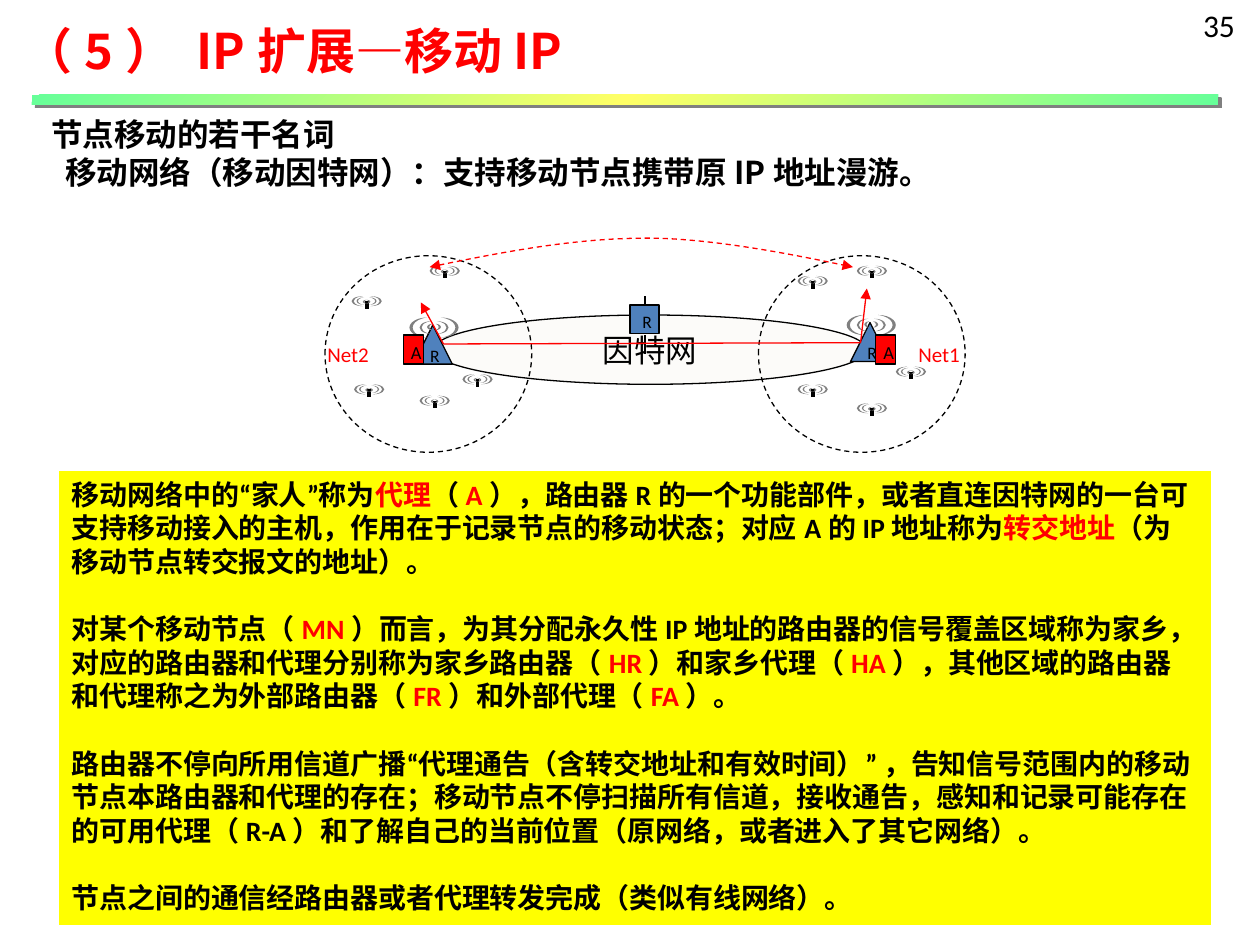
from lxml import etree
from pptx import Presentation
from pptx.dml.color import RGBColor
from pptx.enum.dml import MSO_LINE
from pptx.enum.shapes import MSO_CONNECTOR, MSO_SHAPE
from pptx.enum.text import MSO_ANCHOR, PP_ALIGN
from pptx.oxml import parse_xml
from pptx.oxml.ns import nsdecls, qn
from pptx.util import Emu, Pt

PX = 9144
RED = RGBColor(0xFF, 0x00, 0x00)
BLACK = RGBColor(0x00, 0x00, 0x00)
BLUE = RGBColor(0x4F, 0x81, 0xBD)
GRAY = RGBColor(0x80, 0x80, 0x80)
CLOUD = RGBColor(0xFC, 0xFB, 0xF9)
YELLOW = RGBColor(0xFF, 0xFF, 0x00)
LATIN, HAN = "Calibri", "Noto Sans CJK SC"
RECT, OVAL = MSO_SHAPE.RECTANGLE, MSO_SHAPE.OVAL
MOON, PEAK = MSO_SHAPE.MOON, MSO_SHAPE.ISOSCELES_TRIANGLE
STRAIGHT, DASH = MSO_CONNECTOR.STRAIGHT, MSO_LINE.DASH
TOP, MIDDLE = MSO_ANCHOR.TOP, MSO_ANCHOR.MIDDLE
LEFT, CENTER = PP_ALIGN.LEFT, PP_ALIGN.CENTER

SMALL = [(0, 0, 9, 8, 0.18), (4, 1, 6, 6, 0.18), (9, 3, 3, 3, 0.42)]
LARGE = [(0, 0, 14, 16, 0.18), (8, 3, 9, 10, 0.18), (14, 5, 4, 5, 0.42)]
NETS = [
    dict(x=258, name="Net2", tag=-8, peak=(70, 55), agent=62,
         spots=[(21, 32), (83, 8), (23, 102), (109, 94), (75, 111)]),
    dict(x=602, name="Net1", tag=117, peak=(73, 53), agent=93,
         spots=[(78, 8), (31, 16), (31, 102), (78, 117), (109, 88)]),
]
TERMS = [
    "移动网络中的“家人”称为|代理|（|A|），路由器R的一个功能部件，或者直连因特网的一台可支持移动接入的主机，"
    "作用在于记录节点的移动状态；对应A的IP地址称为|转交地址|（为移动节点转交报文的地址）。",
    "对某个移动节点（|MN|）而言，为其分配永久性IP地址的路由器的信号覆盖区域称为家乡，"
    "对应的路由器和代理分别称为家乡路由器（|HR|）和家乡代理（|HA|），"
    "其他区域的路由器和代理称之为外部路由器（|FR|）和外部代理（|FA|）。",
    "路由器不停向所用信道广播“代理通告（含转交地址和有效时间）” ，告知信号范围内的移动节点本路由器和代理的存在；"
    "移动节点不停扫描所有信道，接收通告，感知和记录可能存在的可用代理（R-A）和了解自己的当前位置（原网络，或者进入了其它网络）。",
    "节点之间的通信经路由器或者代理转发完成（类似有线网络）。",
]


def style(item, **values):
    """Set each named value on the item."""
    for key, value in values.items():
        setattr(item, key, value)


def scale(*nums):
    """Turn px into EMU."""
    return [Emu(round(n * PX)) for n in nums]


def write(para, text, size, color=BLACK, face=LATIN, bold=False):
    """Add text to a paragraph, with the parts between bars in red."""
    for num, part in enumerate(text.split("|")):
        run = para.add_run()
        run.text = part
        style(run.font, size=Pt(size), name=face, bold=bold)
        run.font.color.rgb = RED if num % 2 else color
        etree.SubElement(run.font._element, qn("a:ea"), typeface=face)


def label(shapes, box, text, size, color=BLACK, wrap=True, anchor=TOP, **look):
    """Place a text box with one line."""
    frame = shapes.add_textbox(*scale(*box)).text_frame
    style(frame, word_wrap=wrap, vertical_anchor=anchor)
    write(frame.paragraphs[0], text, size, color, **look)
    return frame


def shape(shapes, kind, box, fill=None, edge=None, dash=None):
    """Place a preset shape with its fill and edge."""
    item = shapes.add_shape(kind, *scale(*box))
    item.shadow.inherit = False
    if fill is None:
        item.fill.background()
    else:
        item.fill.solid()
        item.fill.fore_color.rgb = fill
    if edge is None:
        item.line.fill.background()
    else:
        item.line.color.rgb = edge
        style(item.line, width=Pt(0.75), dash_style=dash)
    item.text_frame.vertical_anchor = TOP
    return item


def mark(item, text, size, align=CENTER):
    """Write a short name inside a shape."""
    para = item.text_frame.paragraphs[0]
    para.alignment = align
    write(para, text, size)


def tips(line, ends):
    """Add arrowheads to the named ends of a line."""
    for end in ends:
        etree.SubElement(line._get_or_add_ln(), qn(f"a:{end}"), type="triangle")


def link(shapes, start, stop, color=BLACK, width=0.75, ends=()):
    """Draw a straight line between two points."""
    item = shapes.add_connector(STRAIGHT, *scale(*start, *stop))
    item.line.color.rgb = color
    item.line.width = Pt(width)
    tips(item.line, ends)
    etree.SubElement(item.element.spPr, qn("a:effectLst"))


def waves(shapes, x, y, span, rings):
    """Draw mirrored pairs of radio waves."""
    for dx, dy, wide, high, bend in rings:
        for flip in (False, True):
            left = x + (span - dx - wide if flip else dx)
            moon = shape(shapes, MOON, (left, y + dy, wide, high), GRAY)
            moon.adjustments[0] = bend
            if flip:
                moon.element.spPr.xfrm.set("flipH", "1")


def mast(shapes, x, y):
    """Draw a small antenna with its waves."""
    group = shapes.add_group_shape().shapes
    link(group, (x + 12, y + 4), (x + 12, y + 10), width=2.25)
    waves(group, x, y, 24, SMALL)


def cell(shapes, x, y, name, tag, peak, agent, spots):
    """Draw one radio network with its router and agent."""
    shape(shapes, OVAL, (x, y, 164, 156), edge=BLACK, dash=DASH)
    for dx, dy in spots:
        mast(shapes, x + dx, y + dy)
    left, top = x + peak[0], y + peak[1]
    router = shape(shapes, PEAK, (left, top, 31, 31), BLUE, BLACK)
    router.text_frame.margin_top = 0
    mark(router, "R", 10)
    waves(shapes, left - 3, top - 6, 39, LARGE)
    label(shapes, (x + tag, y + 63, 53, 30), name, 12, RED, wrap=False)
    mark(shape(shapes, RECT, (x + agent, y + 63, 16, 23), RED, BLACK), "A", 10.5)


def arc(shapes, points):
    """Draw a dashed curve through cubic control points."""
    pen = shapes.build_freeform(*points[0], scale=PX)
    pen.add_line_segments(points[1:], close=False)
    item = pen.convert_to_shape()
    item.shadow.inherit = False
    item.fill.background()
    item.line.color.rgb = RED
    style(item.line, width=Pt(0.75), dash_style=DASH)
    tips(item.line, ("headEnd", "tailEnd"))
    track = item.element.find(".//" + qn("a:path"))
    steps = track.findall(qn("a:lnTo"))
    for first in range(0, len(steps), 3):
        curve = etree.SubElement(track, qn("a:cubicBezTo"))
        for step in steps[first:first + 3]:
            curve.append(step[0])
            track.remove(step)


def header(shapes, x, y):
    """Place the title, page number and gradient rule."""
    rule = shape(shapes, RECT, (x + 25, y + 75, 942, 8), YELLOW)
    props = rule.element.spPr
    stops = "".join(f'<a:gs pos="{pos}"><a:srgbClr val="{tone}"/></a:gs>' for pos, tone in
                    ((0, "66FF99"), (50000, "FFFF66"), (100000, "66FF99")))
    props.replace(props.find(qn("a:solidFill")), parse_xml(
        f'<a:gradFill {nsdecls("a")}><a:gsLst>{stops}</a:gsLst>'
        '<a:lin ang="2700000" scaled="1"/></a:gradFill>'))
    shade = etree.SubElement(props.find(qn("a:effectLst")), qn("a:outerShdw"),
                             dist="35560", dir="2700000", algn="ctr", rotWithShape="0")
    etree.SubElement(shade, qn("a:srgbClr"), val="808080")
    label(shapes, (x + 945, y, 54, 50), "35", 18, wrap=False)
    label(shapes, (x + 9, y + 11, 877, 57), "（5） IP扩展—移动IP", 28, RED,
          anchor=MIDDLE, face=HAN, bold=True)


def intro(shapes, box):
    """Place the two opening lines."""
    frame = label(shapes, box, "节点移动的若干名词", 18, bold=True)
    para = frame.add_paragraph()
    para._p.get_or_add_pPr().set("marL", str(11 * PX))
    write(para, "移动网络（移动因特网）：支持移动节点携带原IP地址漫游。", 18, face=HAN, bold=True)
    for para in frame.paragraphs:
        para.line_spacing = Pt(21.7)


def diagram(shapes, x, y):
    """Draw the internet, both networks and the roaming paths."""
    mark(shape(shapes, OVAL, (x + 86, y + 61, 344, 55), CLOUD, BLACK), "因特网", 18)
    mark(shape(shapes, RECT, (x + 242, y + 53, 23, 23), BLUE, BLACK), "R", 10, LEFT)
    for top, low in ((46, 53), (77, 92)):
        link(shapes, (x + 254, y + top), (x + 254, y + low))
    for net in NETS:
        cell(shapes, y=y + 14, **net)
    arc(shapes, [(x + dx, y + dy) for dx, dy in
                 ((83, 23), (141, 11), (200, 0), (256, 0), (312, 0), (419, 23), (419, 23))])
    stops = [(x + dx, y + dy) for dx, dy in ((76, 51), (94, 84), (425, 83), (430, 40))]
    for start, stop, ends in zip(stops, stops[1:], (("headEnd",), (), ("tailEnd",))):
        link(shapes, start, stop, RED, ends=ends)


def notes(shapes, box):
    """Place the yellow panel of terms."""
    frame = shape(shapes, RECT, box, YELLOW).text_frame
    frame.word_wrap = True
    for num, text in enumerate(TERMS):
        para = frame.add_paragraph() if num else frame.paragraphs[0]
        style(para, alignment=LEFT, line_spacing=Pt(19.2), space_before=Pt(19.2 if num else 0))
        write(para, text, 16, bold=True)


def main():
    """Build and save the slide."""
    deck = Presentation()
    wide, high = scale(1000, 750)
    style(deck, slide_width=wide, slide_height=high)
    shapes = deck.slides.add_slide(deck.slide_layouts[6]).shapes
    header(shapes, 0, 0)
    intro(shapes, (31, 86, 938, 91))
    notes(shapes, (47, 374, 914, 360))
    diagram(shapes, 258, 189)
    deck.save("out.pptx")


if __name__ == "__main__":
    main()
